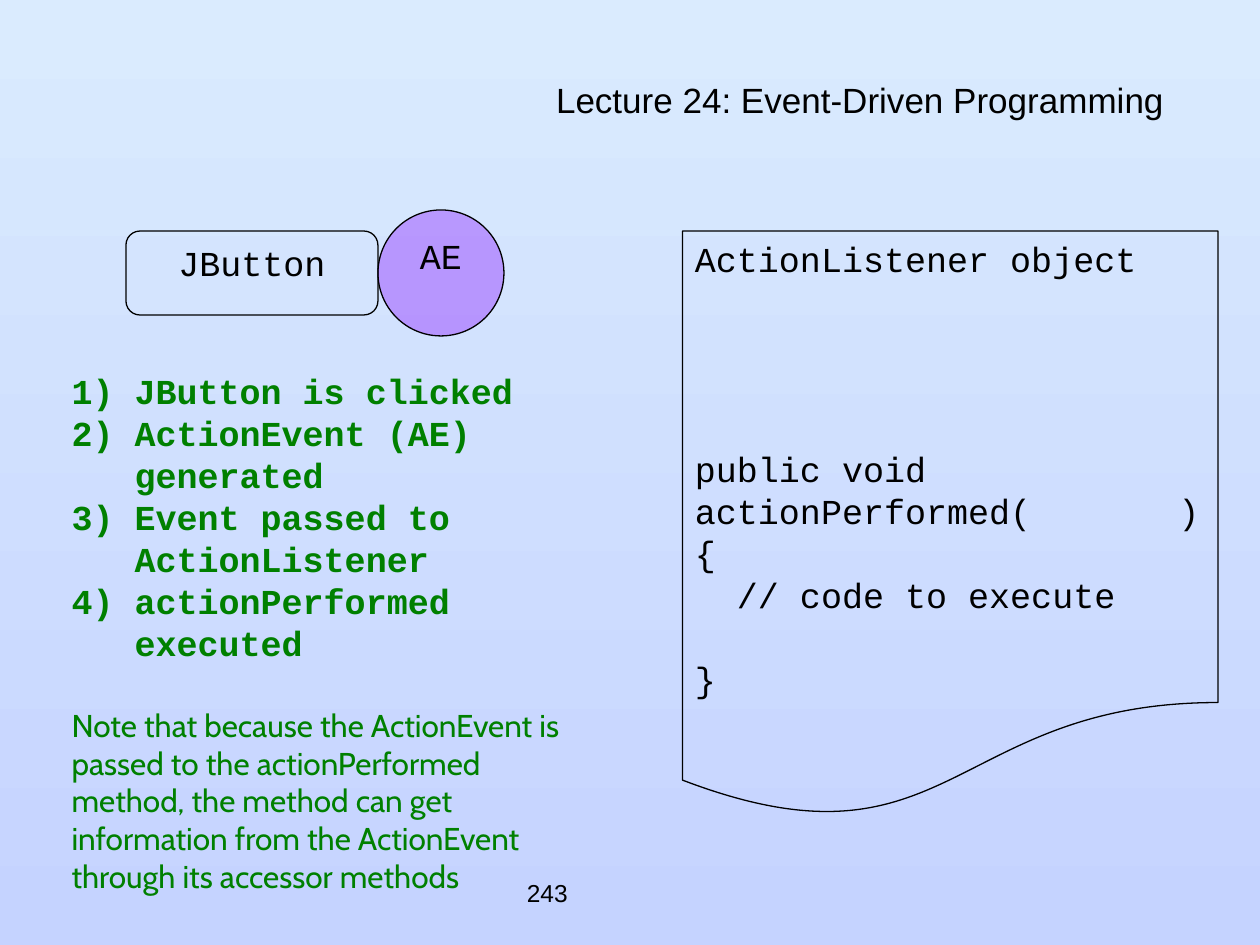
from dataclasses import dataclass

from lxml.etree import SubElement
from pptx import Presentation
from pptx.dml.color import RGBColor
from pptx.enum.shapes import MSO_SHAPE
from pptx.enum.text import MSO_ANCHOR, MSO_AUTO_SIZE, PP_ALIGN
from pptx.oxml.ns import qn
from pptx.util import Pt


@dataclass(frozen=True)
class Theme:
    sky: RGBColor = RGBColor(0xDA, 0xEB, 0xFE)
    periwinkle: RGBColor = RGBColor(0xC5, 0xD3, 0xFF)
    ink: RGBColor = RGBColor(0, 0, 0)
    green: RGBColor = RGBColor(0, 0x80, 0)
    violet: RGBColor = RGBColor(0x80, 0, 0xFF)
    heading_font: str = "Arial"
    code_font: str = "Courier New"
    note_font: str = "Cabin"
    main_size: int = 20
    note_size: int = 18
    number_size: int = 14
    code_line: int = 24


THEME = Theme()


def style(paragraph, name, size, color, bold=False, align=PP_ALIGN.LEFT):
    font = paragraph.font
    font.name, font.size, font.bold = name, Pt(size), bold
    font.color.rgb = color
    paragraph.alignment = align


def add_paragraph(frame, text, space_before=0):
    """Fill the frame's first paragraph if it is empty, else append one."""
    paragraph = frame.paragraphs[0]
    if paragraph.runs:
        paragraph = frame.add_paragraph()
        paragraph.space_before = Pt(space_before)
    paragraph.add_run().text = text
    return paragraph


def add_panel(slide, kind, box, outlined=True):
    """Add an unfilled shape with top-anchored text."""
    shape = slide.shapes.add_shape(kind, *map(Pt, box))
    shape.shadow.inherit = False
    shape.fill.background()
    if outlined:
        shape.line.color.rgb = THEME.ink
        shape.line.width = Pt(0.75)
    else:
        shape.line.fill.background()
    shape.text_frame.word_wrap = True
    shape.text_frame.vertical_anchor = MSO_ANCHOR.TOP
    return shape


def paint_background(slide):
    fill = slide.background.fill
    fill.gradient()
    fill.gradient_angle = 270
    for stop, position, color in zip(fill.gradient_stops, (0, 1), (THEME.sky, THEME.periwinkle)):
        stop.position = position
        stop.color.rgb = color


def place_title(slide, box, text):
    title = slide.shapes.title
    title.left, title.top, title.width, title.height = map(Pt, box)
    frame = title.text_frame
    frame.auto_size = MSO_AUTO_SIZE.NONE
    frame.vertical_anchor = MSO_ANCHOR.MIDDLE
    paragraph = add_paragraph(frame, text)
    paragraph.line_spacing = 0.7
    style(paragraph, THEME.heading_font, THEME.main_size, THEME.ink, align=PP_ALIGN.RIGHT)


def place_page_number(slide, box, number):
    frame = slide.shapes.add_textbox(*map(Pt, box)).text_frame
    frame.word_wrap = True
    frame.vertical_anchor = MSO_ANCHOR.MIDDLE
    style(add_paragraph(frame, number), THEME.heading_font, THEME.number_size, THEME.ink)


def place_event_source(slide, box):
    """Draw the button with the event circle touching its right side."""
    left, top, width, height = box
    diameter = width / 2
    circle_box = (left + width, top + (height - diameter) / 2, diameter, diameter)
    button = add_panel(slide, MSO_SHAPE.ROUNDED_RECTANGLE, box)
    event = add_panel(slide, MSO_SHAPE.OVAL, circle_box)
    event.fill.solid()
    event.fill.fore_color.rgb = THEME.violet
    color = event.fill._xPr.find(qn("a:solidFill"))[0]
    SubElement(color, qn("a:alpha")).set("val", "34000")
    for shape, label in ((button, "JButton"), (event, "AE")):
        style(add_paragraph(shape.text_frame, label), THEME.code_font, THEME.main_size,
              THEME.ink, align=PP_ALIGN.CENTER)


def place_listener(slide, box):
    frame = add_panel(slide, MSO_SHAPE.FLOWCHART_DOCUMENT, box).text_frame
    lines = (
        ("ActionListener object", 0),
        ("public void actionPerformed(       )", 4),
        ("{", 0),
        ("  // code to execute", 0),
        ("}", 1),
    )
    for text, lines_before in lines:
        paragraph = add_paragraph(frame, text, lines_before * THEME.code_line)
        style(paragraph, THEME.code_font, THEME.main_size, THEME.ink)


def number_paragraph(paragraph, indent):
    properties = paragraph._p.get_or_add_pPr()
    properties.set("marL", str(Pt(indent)))
    properties.set("indent", str(-Pt(indent)))
    SubElement(properties, qn("a:buFont")).set("typeface", THEME.code_font)
    SubElement(properties, qn("a:buAutoNum")).set("type", "arabicParenR")


def place_steps(slide, box, steps, note):
    frame = add_panel(slide, MSO_SHAPE.ROUNDED_RECTANGLE, box, outlined=False).text_frame
    for step in steps:
        paragraph = add_paragraph(frame, step)
        number_paragraph(paragraph, 36)
        style(paragraph, THEME.code_font, THEME.main_size, THEME.green, bold=True)
    paragraph = add_paragraph(frame, note, THEME.code_line)
    style(paragraph, THEME.note_font, THEME.note_size, THEME.green)


def main():
    presentation = Presentation()
    presentation.slide_width, presentation.slide_height = Pt(720), Pt(540)
    slide = presentation.slides.add_slide(presentation.slide_layouts[5])
    paint_background(slide)
    place_title(slide, (42, 48, 636, 24), "Lecture 24: Event-Driven Programming ")
    place_page_number(slide, (294, 492, 150, 36), "243")
    place_listener(slide, (390, 132, 306, 336))
    place_steps(
        slide, (18, 192, 342, 324),
        ("JButton is clicked", "ActionEvent (AE) generated",
         "Event passed to ActionListener", "actionPerformed executed"),
        "Note that because the ActionEvent is passed to the actionPerformed method, "
        "the method can get information from the ActionEvent through its accessor methods")
    place_event_source(slide, (72, 132, 144, 48))
    presentation.save("out.pptx")


if __name__ == "__main__":
    main()
